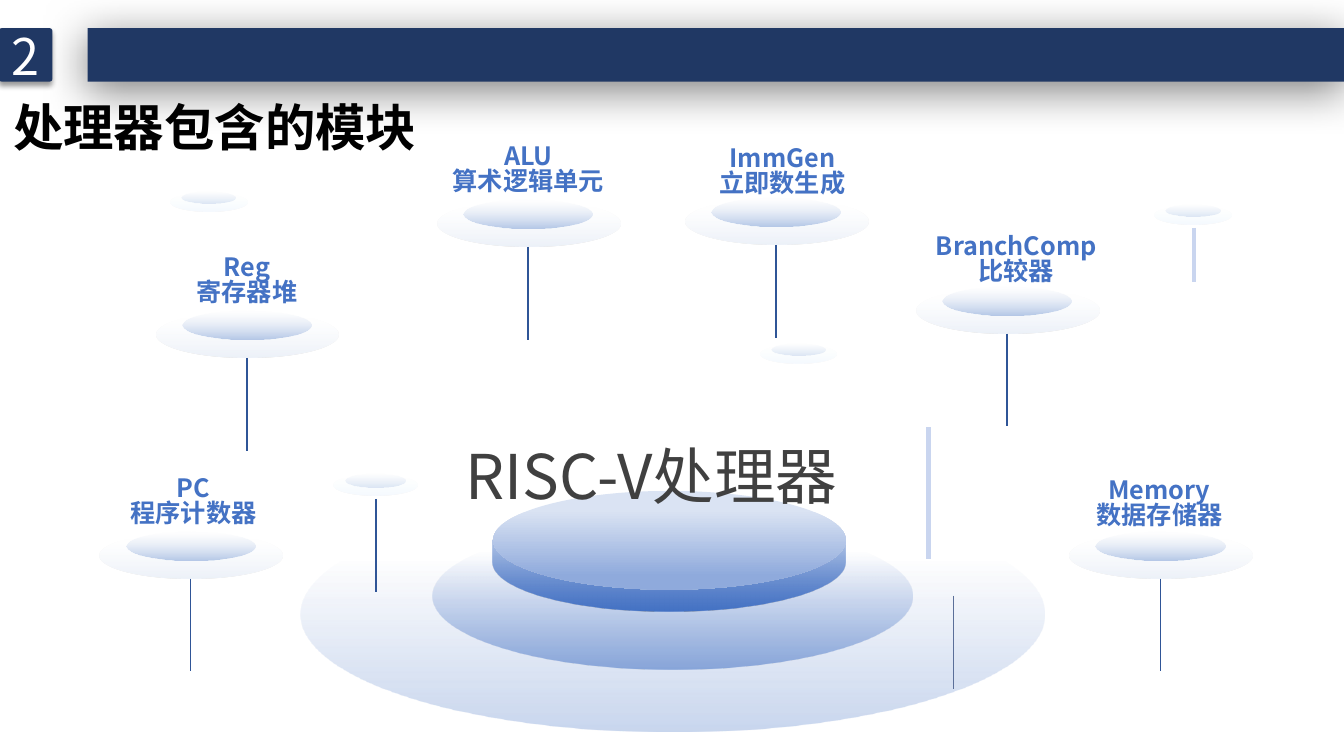
from dataclasses import dataclass
from math import cos, pi, sin

from lxml import etree
from pptx import Presentation
from pptx.dml.color import RGBColor
from pptx.enum.shapes import MSO_CONNECTOR, MSO_SHAPE
from pptx.enum.text import MSO_ANCHOR, MSO_AUTO_SIZE, PP_ALIGN
from pptx.oxml.ns import qn
from pptx.util import Inches, Pt

ELLIPSE, RECT, ROUNDED = MSO_SHAPE.OVAL, MSO_SHAPE.RECTANGLE, MSO_SHAPE.ROUNDED_RECTANGLE
STRAIGHT = MSO_CONNECTOR.STRAIGHT
LEFT, CENTER = PP_ALIGN.LEFT, PP_ALIGN.CENTER
TOP, MIDDLE = MSO_ANCHOR.TOP, MSO_ANCHOR.MIDDLE
FIXED = MSO_AUTO_SIZE.NONE

FONT = "Noto Sans CJK SC"
COLORS = {
    "navy": "203864", "blue": "4472C4", "stem": "2F5597", "pillar": "C9D5EF",
    "thin": "5B6F99", "mist": "DAE3F3", "sky": "B4C7E7", "steel": "8FAADC",
    "ice": "B2E4FF", "azure": "99C7FF", "white": "FFFFFF", "black": "000000",
    "charcoal": "404040",
}


@dataclass(frozen=True)
class Stop:
    position: int
    color: str
    opacity: int = 100


@dataclass(frozen=True)
class Module:
    name: str
    meaning: str
    left: float
    top: float
    label_center: float
    label_top: float


@dataclass(frozen=True)
class Disc:
    left: float
    top: float
    width: float = 0.76


@dataclass(frozen=True)
class Stem:
    x: float
    top: float
    bottom: float
    color: str
    weight: float


OUTER_RING = (Stop(27, "blue", 0), Stop(100, "blue", 29))
INNER_RING = (Stop(20, "blue", 0), Stop(100, "blue", 55))
DRUM_SIDE = (Stop(33, "blue", 48), Stop(100, "blue"))
DRUM_TOP = (Stop(20, "mist"), Stop(86, "steel"))
MODULE_BASE = (Stop(15, "mist", 0), Stop(99, "sky", 25))
MODULE_TOP = (Stop(0, "white", 34), Stop(100, "sky"))
DISC_BASE = (Stop(15, "ice", 0), Stop(99, "azure", 10))
DISC_TOP = (Stop(0, "white", 34), Stop(100, "sky", 43))

MODULES = [
    Module("PC", "程序计数器", 0.99, 5.28, 1.92, 4.69),
    Module("Reg", "寄存器堆", 1.55, 3.09, 2.45, 2.49),
    Module("ALU", "算术逻辑单元", 4.34, 1.99, 5.24, 1.39),
    Module("ImmGen", "立即数生成", 6.8, 1.97, 7.76, 1.41),
    Module("BranchComp", "比较器", 9.09, 2.85, 10.08, 2.29),
    Module("Memory", "数据存储器", 10.61, 5.28, 11.5, 4.71),
]
DISCS = [Disc(1.69, 1.91), Disc(3.31, 4.71, 0.83), Disc(11.45, 2.04), Disc(7.54, 3.42)]
STEMS = [
    Stem(3.73, 4.95, 5.87, "stem", 1.25),
    Stem(9.46, 5.91, 6.84, "thin", 0.75),
    Stem(9.21, 4.24, 5.55, "pillar", 3.5),
    Stem(11.84, 2.26, 2.8, "pillar", 2.75),
]


def rgb(color: str) -> RGBColor:
    return RGBColor.from_string(COLORS[color])


def add_color(parent, color: str, opacity: int) -> None:
    tint = etree.SubElement(parent, qn("a:srgbClr"), val=COLORS[color])
    if opacity < 100:
        etree.SubElement(tint, qn("a:alpha"), val=str(opacity * 1000))


def fill_gradient(shape, stops: tuple[Stop, ...]) -> None:
    """Fill from top to bottom, without outline or shadow."""
    shape.shadow.inherit = False
    shape.line.fill.background()
    shape.fill.gradient()
    shape.fill.gradient_angle = 270
    stop_list = shape._element.spPr.find(".//" + qn("a:gsLst"))
    for old_stop in list(stop_list):
        stop_list.remove(old_stop)
    for stop in stops:
        entry = etree.SubElement(stop_list, qn("a:gs"), pos=str(stop.position * 1000))
        add_color(entry, stop.color, stop.opacity)


def add_ellipse(slide, left: float, top: float, width: float, height: float,
                stops: tuple[Stop, ...]) -> None:
    ellipse = slide.shapes.add_shape(
        ELLIPSE, Inches(left), Inches(top), Inches(width), Inches(height))
    fill_gradient(ellipse, stops)


def add_header_block(slide, kind, left: float, width: float, opacity: int,
                     blur: int, distance: int, angle: int):
    block = slide.shapes.add_shape(
        kind, Inches(left), Inches(0.28), Inches(width), Inches(0.53))
    block.fill.solid()
    block.fill.fore_color.rgb = rgb("navy")
    block.line.fill.background()
    block.shadow.inherit = False
    effects = block._element.spPr.find(qn("a:effectLst"))
    shadow = etree.SubElement(
        effects, qn("a:outerShdw"), blurRad=str(Pt(blur)), dist=str(Pt(distance)),
        dir=str(angle * 60000), algn="t", rotWithShape="0")
    add_color(shadow, "black", opacity)
    return block


def add_stem(slide, stem: Stem) -> None:
    line = slide.shapes.add_connector(
        STRAIGHT, Inches(stem.x), Inches(stem.top), Inches(stem.x), Inches(stem.bottom))
    line.line.color.rgb = rgb(stem.color)
    line.line.width = Pt(stem.weight)
    etree.SubElement(line._element.spPr, qn("a:effectLst"))


def write(shape, *lines: str, size: int, color: str, bold: bool = False,
          align=LEFT, anchor=TOP, spacing: float = 1.0) -> None:
    frame = shape.text_frame
    frame.word_wrap = True
    frame.auto_size = FIXED
    frame.vertical_anchor = anchor
    frame.text = "\n".join(lines)
    for paragraph in frame.paragraphs:
        paragraph.alignment = align
        paragraph.line_spacing = spacing
        font = paragraph.runs[0].font
        font.name, font.size, font.bold = FONT, Pt(size), bold
        font.color.rgb = rgb(color)
        etree.SubElement(font._element, qn("a:ea"), typeface=FONT)


def add_text(slide, left: float, top: float, width: float, height: float,
             *lines: str, **text_format) -> None:
    box = slide.shapes.add_textbox(
        Inches(left), Inches(top), Inches(width), Inches(height))
    write(box, *lines, **text_format)


def add_drum_side(slide) -> None:
    """Draw a rounded band: a wide lower arc joined to a flatter upper arc."""
    center, steps = 6.64, 60
    angles = [pi * step / steps for step in range(steps + 1)]
    lower = [(center + 1.75 * cos(a), 5.58 + 0.49 * sin(a)) for a in angles]
    upper = [(center - 1.55 * cos(a), 5.36 - 0.26 * sin(a)) for a in angles]
    outline = lower + [(center - 1.75, 5.36)] + upper + [(center + 1.75, 5.36)]
    points = [(Inches(x), Inches(y)) for x, y in outline]
    builder = slide.shapes.build_freeform(*points[0])
    builder.add_line_segments(points[1:], close=True)
    fill_gradient(builder.convert_to_shape(), DRUM_SIDE)


def add_module(slide, module: Module) -> None:
    left, top = module.left, module.top
    add_ellipse(slide, left, top, 1.81, 0.46, MODULE_BASE)
    add_ellipse(slide, left + 0.26, top - 0.01, 1.28, 0.29, MODULE_TOP)
    add_stem(slide, Stem(left + 0.9, top + 0.46, top + 1.38, "stem", 1.25))
    add_text(slide, module.label_center - 1, module.label_top, 2, 0.71,
             module.name, module.meaning, size=18, color="blue", bold=True,
             align=CENTER, spacing=0.83)


def add_disc(slide, disc: Disc) -> None:
    width = disc.width
    add_ellipse(slide, disc.left, disc.top, width, width / 4, DISC_BASE)
    add_ellipse(slide, disc.left + 0.145 * width, disc.top - 0.01,
                0.71 * width, 0.16 * width, DISC_TOP)


def main() -> None:
    deck = Presentation()
    deck.slide_width, deck.slide_height = Inches(13.33), Inches(7.5)
    slide = deck.slides.add_slide(deck.slide_layouts[5])
    add_header_block(slide, RECT, 0.87, 12.47, 50, 31, 6, 97)
    badge = add_header_block(slide, ROUNDED, -0.01, 0.53, 40, 4, 3, 90)
    badge.adjustments[0] = 0.05
    write(badge, "2", size=36, color="white", align=CENTER, anchor=MIDDLE)

    title = slide.shapes.title
    title.left, title.top = Inches(0.03), Inches(1)
    title.width, title.height = Inches(8.22), Inches(0.71)
    write(title, "处理器包含的模块", size=36, color="black", bold=True, spacing=0.83)

    add_ellipse(slide, 2.98, 4.93, 7.38, 2.33, OUTER_RING)
    add_ellipse(slide, 4.29, 5.18, 4.76, 1.46, INNER_RING)
    add_drum_side(slide)
    add_ellipse(slide, 4.89, 4.87, 3.5, 0.98, DRUM_TOP)
    for stem in STEMS:
        add_stem(slide, stem)
    for disc in DISCS:
        add_disc(slide, disc)
    for module in MODULES:
        add_module(slide, module)
    add_text(slide, 4.52, 4.42, 4.23, 0.84, "RISC-V处理器",
             size=44, color="charcoal", spacing=0.83)
    deck.save("out.pptx")


if __name__ == "__main__":
    main()
